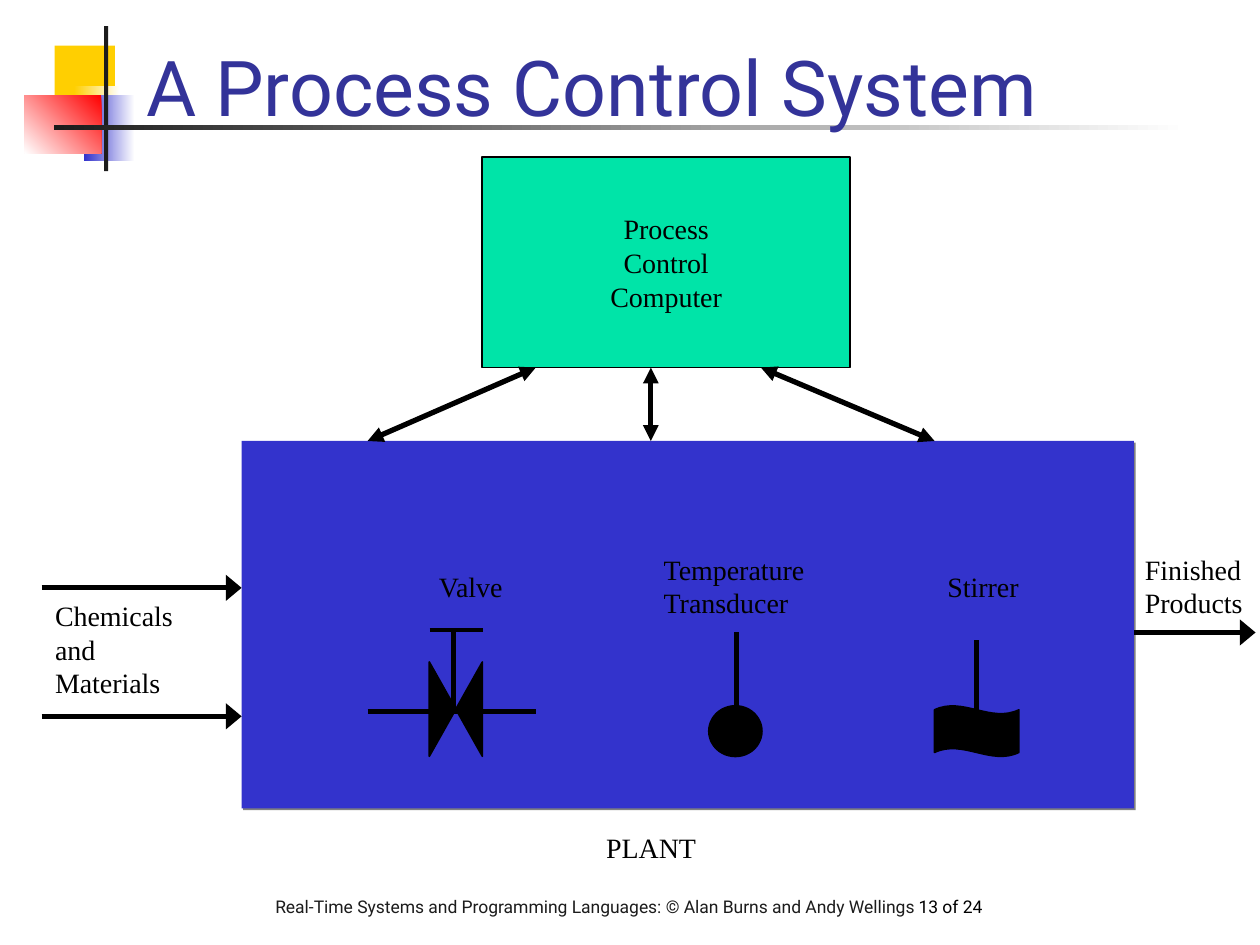
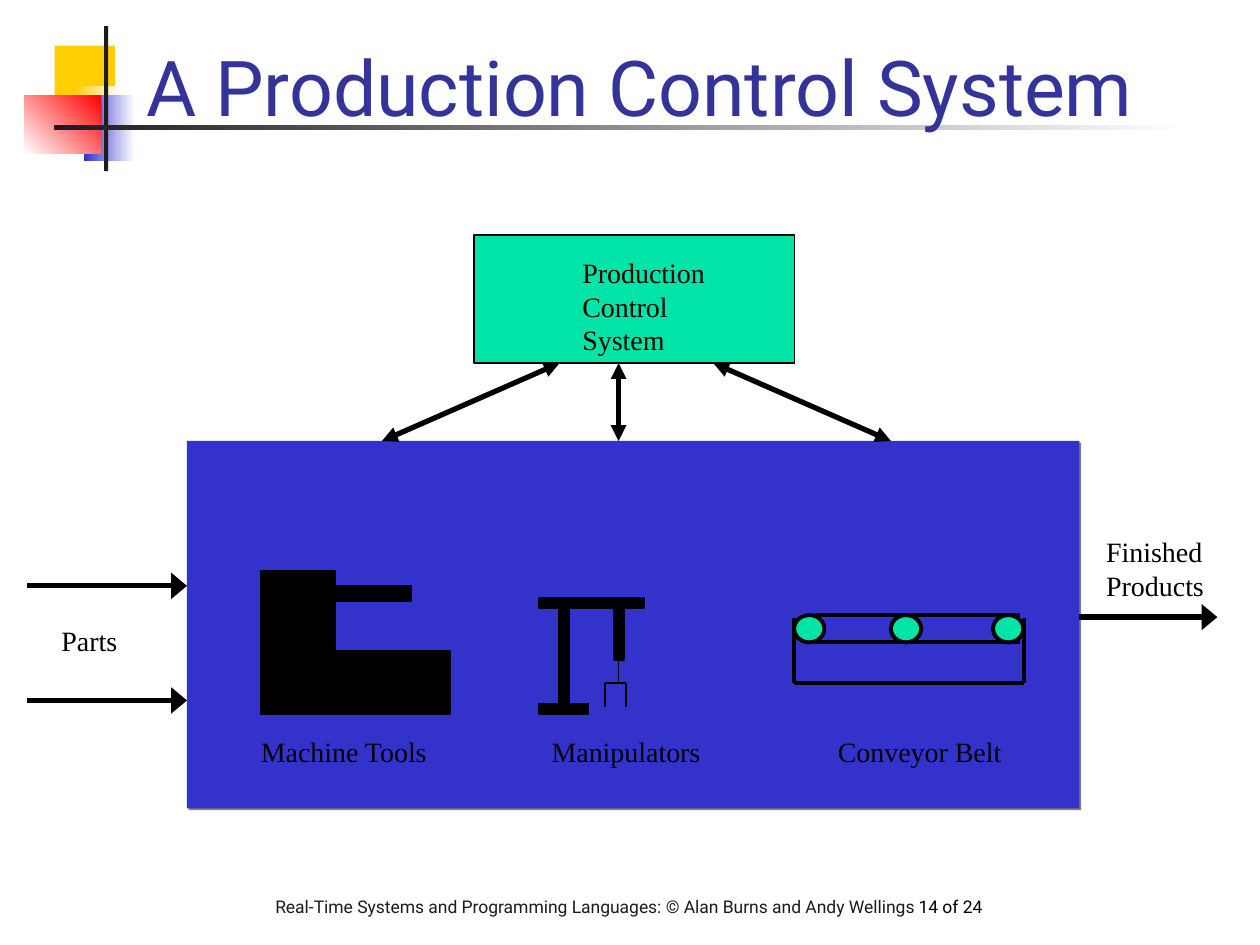
from dataclasses import dataclass
from typing import NamedTuple, Optional, Union

from lxml.etree import SubElement
from pptx import Presentation
from pptx.dml.color import RGBColor
from pptx.enum.shapes import MSO_CONNECTOR, MSO_SHAPE
from pptx.enum.text import MSO_ANCHOR, MSO_AUTO_SIZE, PP_ALIGN
from pptx.oxml.ns import qn
from pptx.shapes.autoshape import Shape
from pptx.shapes.shapetree import GroupShapes, SlideShapes
from pptx.slide import Slide
from pptx.text.text import TextFrame
from pptx.util import Cm, Pt

Shapes = Union[SlideShapes, GroupShapes]


@dataclass(frozen=True)
class Theme:
    black: str = "000000"
    white: str = "FFFFFF"
    ink: str = "1C1C1C"
    title: str = "333399"
    plant: str = "3333CC"
    controller: str = "00E4A8"
    yellow: str = "FFCF01"
    red: str = "FF0000"
    shadow: str = "808080"
    heading_font: str = "Roboto"
    label_font: str = "Times New Roman"
    title_size: float = 44
    label_size: float = 16
    footer_size: float = 10
    thin: float = 1
    medium: float = 2.25
    thick: float = 3


THEME = Theme()


class Box(NamedTuple):
    """A frame in centimetres."""
    left: float
    top: float
    width: float
    height: float


class Line(NamedTuple):
    """A straight line in centimetres; heads is "", "end" or "both"."""
    x1: float
    y1: float
    x2: float
    y2: float
    width: float = THEME.thick
    heads: str = ""
    head_width: str = "med"


class Label(NamedTuple):
    text: str
    left: float
    top: float
    width: float


class Band(NamedTuple):
    """A decorative rectangle; a second colour makes it a gradient."""
    box: Box
    color: str
    end_color: Optional[str] = None
    angle: float = 180


TITLE_BOX = Box(2.69, 0.32, 21.64, 2.46)
FOOTER_BOX = Box(5.3, 17.93, 15.39, 1.17)
FOOTER = "Real-Time Systems and Programming Languages: © Alan Burns and Andy Wellings "
PAGE_COUNT = 24
PLANT_TOP, PLANT_WIDTH, PLANT_HEIGHT = 8.89, 17.99, 7.41

BANDS = [
    Band(Box(1.1, 0.92, 1.22, 1.32), THEME.yellow),
    Band(Box(1.5, 1.73, 0.91, 1.32), THEME.white, THEME.yellow),
    Band(Box(1.7, 1.92, 1.02, 1.32), THEME.white, THEME.plant),
    Band(Box(0.49, 1.92, 1.55, 1.17), THEME.red, THEME.white, 225),
    Band(Box(2.1, 0.53, 0.08, 2.92), THEME.ink),
    Band(Box(1.09, 2.52, 22.86, 0.1), THEME.white, THEME.ink),
]


def rgb(color: str) -> RGBColor:
    return RGBColor.from_string(color)


def frame(box: Box) -> list[Cm]:
    return [Cm(value) for value in box]


def add_solid(shapes: Shapes, box: Box, fill: str = THEME.black,
              line_width: float = THEME.thin, kind: MSO_SHAPE = MSO_SHAPE.RECTANGLE) -> Shape:
    """Add a filled shape with a black outline; no outline at line width 0."""
    shape = shapes.add_shape(kind, *frame(box))
    shape.shadow.inherit = False
    shape.fill.solid()
    shape.fill.fore_color.rgb = rgb(fill)
    if line_width:
        shape.line.color.rgb = rgb(THEME.black)
        shape.line.width = Pt(line_width)
    else:
        shape.line.fill.background()
    return shape


def add_lines(shapes: Shapes, lines: list[Line]) -> None:
    for line in lines:
        connector = shapes.add_connector(
            MSO_CONNECTOR.STRAIGHT, Cm(line.x1), Cm(line.y1), Cm(line.x2), Cm(line.y2))
        connector.line.color.rgb = rgb(THEME.black)
        connector.line.width = Pt(line.width)
        ends = {"": [], "end": ["a:tailEnd"], "both": ["a:headEnd", "a:tailEnd"]}
        for end in ends[line.heads]:
            SubElement(connector.line._get_or_add_ln(), qn(end),
                       type="triangle", w=line.head_width, len="med")
        SubElement(connector._element.spPr, qn("a:effectLst"))


def write_paragraphs(text_frame: TextFrame, text: str, font: str, size: float,
                     color: str, align: PP_ALIGN = PP_ALIGN.LEFT) -> None:
    text_frame.text = text
    for paragraph in text_frame.paragraphs:
        paragraph.alignment = align
        paragraph.font.name = font
        paragraph.font.size = Pt(size)
        paragraph.font.color.rgb = rgb(color)


def add_labels(shapes: Shapes, labels: list[Label]) -> None:
    for label in labels:
        height = 0.26 + 0.68 * len(label.text.split("\n"))
        text_box = shapes.add_textbox(*frame(Box(label.left, label.top, label.width, height)))
        text_frame = text_box.text_frame
        text_frame.word_wrap = False
        text_frame.auto_size = MSO_AUTO_SIZE.SHAPE_TO_FIT_TEXT
        write_paragraphs(text_frame, label.text, THEME.label_font, THEME.label_size, THEME.black)


def add_bands(shapes: Shapes) -> None:
    for band in BANDS:
        shape = add_solid(shapes, band.box, band.color, 0)
        if band.end_color:
            shape.fill.gradient()
            shape.fill.gradient_angle = band.angle
            for stop, color in zip(shape.fill.gradient_stops, (band.color, band.end_color)):
                stop.color.rgb = rgb(color)


def add_footer(shapes: Shapes, page: int) -> None:
    text_box = shapes.add_textbox(*frame(FOOTER_BOX))
    text_box.text_frame.word_wrap = True
    paragraph = text_box.text_frame.paragraphs[0]
    paragraph.font.name = THEME.heading_font
    paragraph.font.size = Pt(THEME.footer_size)
    for text, color in ((FOOTER, THEME.ink), (f"{page} of {PAGE_COUNT}", THEME.black)):
        run = paragraph.add_run()
        run.text = text
        run.font.color.rgb = rgb(color)


def add_titled_slide(presentation: Presentation, title: str, page: int) -> Slide:
    slide = presentation.slides.add_slide(presentation.slide_layouts[5])
    add_bands(slide.shapes)
    add_footer(slide.shapes, page)
    placeholder = slide.shapes.title
    placeholder.left, placeholder.top, placeholder.width, placeholder.height = frame(TITLE_BOX)
    text_frame = placeholder.text_frame
    text_frame.vertical_anchor = MSO_ANCHOR.BOTTOM
    text_frame.auto_size = MSO_AUTO_SIZE.NONE
    write_paragraphs(text_frame, title, THEME.heading_font, THEME.title_size, THEME.title)
    slide.shapes.element.append(placeholder.element)  # in front of the bands
    return slide


def add_plant(shapes: Shapes, left: float) -> None:
    box = Box(left, PLANT_TOP, PLANT_WIDTH, PLANT_HEIGHT)
    plant = add_solid(shapes, box, THEME.plant, 0)
    effects = plant._element.spPr.find(qn("a:effectLst"))
    shadow = SubElement(effects, qn("a:outerShdw"), dist=str(Pt(1.4)), dir="2700000",
                        algn="ctr", rotWithShape="0")
    SubElement(shadow, qn("a:srgbClr"), val=THEME.shadow)


def add_flows(shapes: Shapes, inputs: Line, second_input_y: float, output: Line) -> None:
    """Add two parallel input arrows and one output arrow."""
    second = inputs._replace(y1=second_input_y, y2=second_input_y)
    add_lines(shapes, [flow._replace(heads="end", head_width="lg")
                       for flow in (inputs, second, output)])


def add_links(shapes: Shapes, top: float, ends: list[tuple[float, float]]) -> None:
    """Add double arrows from the controller down to the plant."""
    add_lines(shapes, [Line(x1, top, x2, PLANT_TOP, heads="both") for x1, x2 in ends])


def add_valve(shapes: Shapes) -> None:
    valve = shapes.add_group_shape().shapes
    body = add_solid(valve, Box(8.24, 13.76, 1.9, 1.07), kind=MSO_SHAPE.FLOWCHART_COLLATE)
    body.rotation = 270
    pipe_y, handle_y = 14.35, 12.7
    add_lines(valve, [
        Line(7.41, pipe_y, 9.09, pipe_y),
        Line(9.09, pipe_y, 10.8, pipe_y),
        Line(9.14, handle_y, 9.14, pipe_y),
        Line(8.66, handle_y, 9.73, handle_y, THEME.medium),
    ])


def add_transducer(shapes: Shapes) -> None:
    transducer = shapes.add_group_shape().shapes
    add_solid(transducer, Box(14.29, 14.23, 1.07, 1.02), kind=MSO_SHAPE.OVAL)
    add_lines(transducer, [Line(14.84, 14.23, 14.84, 12.75)])


def add_stirrer(shapes: Shapes) -> None:
    stirrer = shapes.add_group_shape().shapes
    blade = add_solid(stirrer, Box(18.84, 14.23, 1.7, 1.02), kind=MSO_SHAPE.WAVE)
    blade.adjustments[0] = 0.08
    add_lines(stirrer, [Line(19.69, 14.4, 19.69, 12.91)])


def add_manipulator(shapes: Shapes) -> None:
    manipulator = shapes.add_group_shape().shapes
    foot = Box(10.86, 14.2, 0.99, 0.2)
    column = Box(11.27, 12.26, 0.2, 1.94)
    beam = Box(10.86, 12.06, 2.13, 0.2)
    arm = Box(12.38, 12.26, 0.2, 1.04)
    for part in (foot, column, beam, arm):
        add_solid(manipulator, part)
    left, right, top, bottom = 12.19, 12.62, 13.77, 14.25
    add_lines(manipulator, [line._replace(width=THEME.thin) for line in (
        Line(left, top, left, bottom),
        Line(right, top, right, bottom),
        Line(left, top, right, top),
        Line(12.47, 13.28, 12.47, top),
    )])


def add_machine_tool(shapes: Shapes) -> None:
    machine = shapes.add_group_shape().shapes
    bed = Box(5.26, 13.13, 3.81, 1.27)
    column = Box(5.26, 11.51, 1.5, 1.63)
    head = Box(6.76, 11.81, 1.52, 0.3)
    for part in (bed, column, head):
        add_solid(machine, part)


def add_conveyor(shapes: Shapes) -> None:
    left, right, leg_top, base = 16.01, 20.65, 12.45, 13.77
    belt_top, belt_height = 12.4, 0.55
    belt = [Line(16.43, y, 20.57, y) for y in (belt_top, belt_top + belt_height)]
    legs = [Line(x, leg_top, x, base) for x in (left, right)]
    lines = belt + legs + [Line(left, base, right, base)]
    add_lines(shapes, [line._replace(width=THEME.medium) for line in lines])
    for roller_left in (left, 17.96, 20.02):
        add_solid(shapes, Box(roller_left, belt_top, 0.61, belt_height),
                  THEME.controller, THEME.medium, MSO_SHAPE.OVAL)


def add_process_slide(presentation: Presentation) -> None:
    shapes = add_titled_slide(presentation, "A Process Control System", 13).shapes
    add_plant(shapes, 4.87)
    add_valve(shapes)
    add_transducer(shapes)
    add_stirrer(shapes)
    computer = add_solid(shapes, Box(9.72, 3.17, 7.42, 4.24), THEME.controller)
    computer.text_frame.word_wrap = False
    computer.text_frame.vertical_anchor = MSO_ANCHOR.MIDDLE
    write_paragraphs(computer.text_frame, "Process\nControl\nComputer", THEME.label_font,
                     THEME.label_size, THEME.black, PP_ALIGN.CENTER)
    add_flows(shapes, Line(0.84, 11.85, 4.87, 11.85), 14.44, Line(22.86, 12.75, 25.31, 12.75))
    add_links(shapes, 7.41, [(10.8, 7.41), (13.12, 13.12), (15.34, 18.84)])
    add_labels(shapes, [
        Label("Chemicals\nand\nMaterials", 0.86, 11.94, 2.95),
        Label("Valve", 8.6, 11.35, 1.95),
        Label("Temperature\nTransducer", 13.13, 11.01, 3.45),
        Label("Stirrer", 18.85, 11.35, 2.05),
        Label("Finished\nProducts", 22.83, 11.01, 2.55),
        Label("PLANT", 11.97, 16.61, 2.4),
    ])


def add_production_slide(presentation: Presentation) -> None:
    shapes = add_titled_slide(presentation, "A Production Control System", 14).shapes
    add_plant(shapes, 3.77)
    add_manipulator(shapes)
    add_machine_tool(shapes)
    add_conveyor(shapes)
    add_solid(shapes, Box(9.55, 4.74, 6.47, 2.58), THEME.controller)
    add_flows(shapes, Line(0.55, 11.81, 3.77, 11.81), 14.12, Line(21.76, 12.44, 24.54, 12.44))
    add_links(shapes, 7.32, [(11.28, 7.7), (12.47, 12.47), (14.38, 17.96)])
    add_labels(shapes, [
        Label("Production\nControl\nSystem", 11.49, 5.03, 3.05),
        Label("Parts", 0.99, 12.45, 1.75),
        Label("Machine Tools", 5.01, 14.69, 3.95),
        Label("Manipulators", 10.87, 14.69, 3.6),
        Label("Conveyor Belt", 16.64, 14.69, 3.9),
        Label("Finished\nProducts", 22.05, 10.65, 2.55),
    ])


def main() -> None:
    presentation = Presentation()
    presentation.slide_width, presentation.slide_height = Cm(25.4), Cm(19.05)
    add_process_slide(presentation)
    add_production_slide(presentation)
    presentation.save("out.pptx")


if __name__ == "__main__":
    main()
